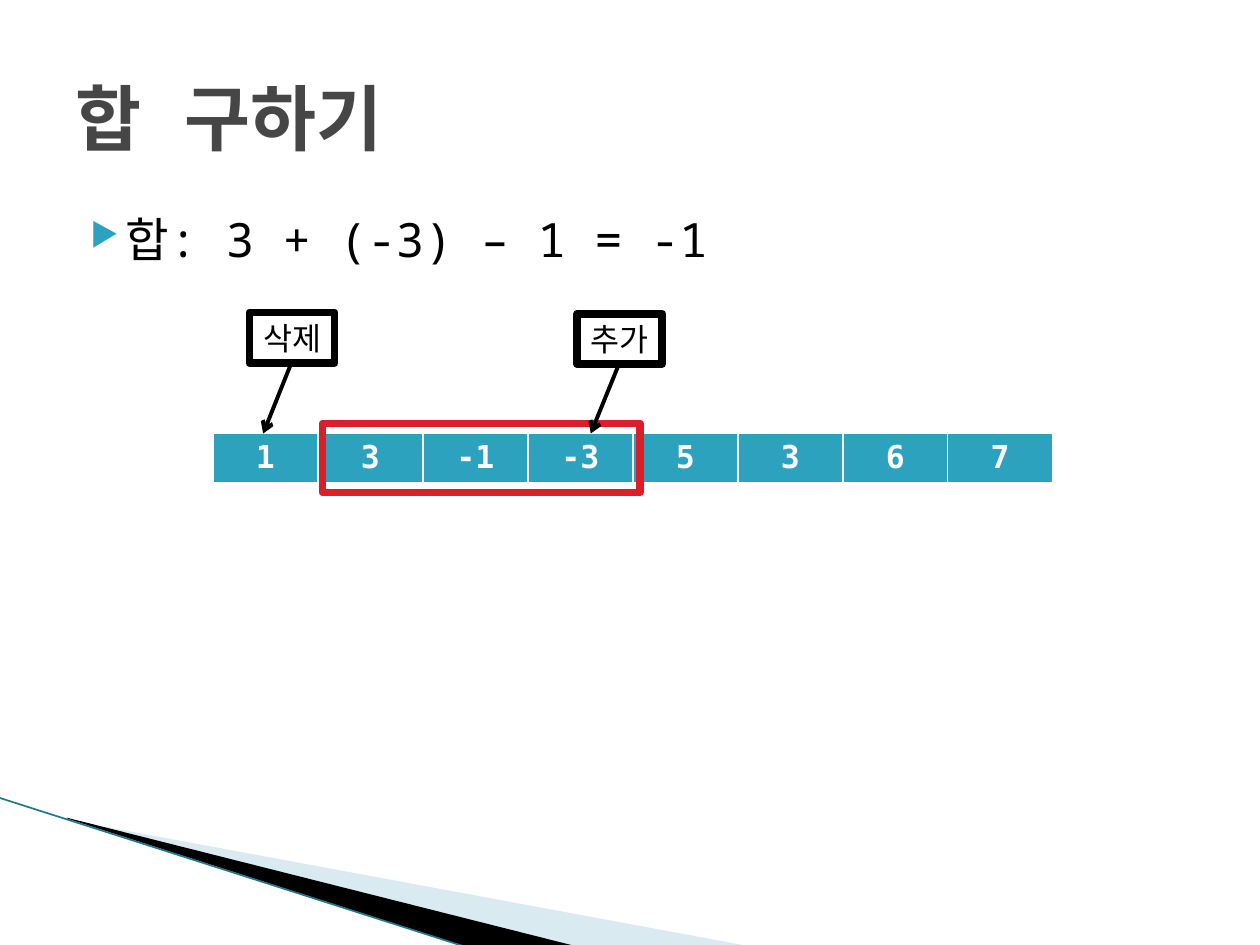
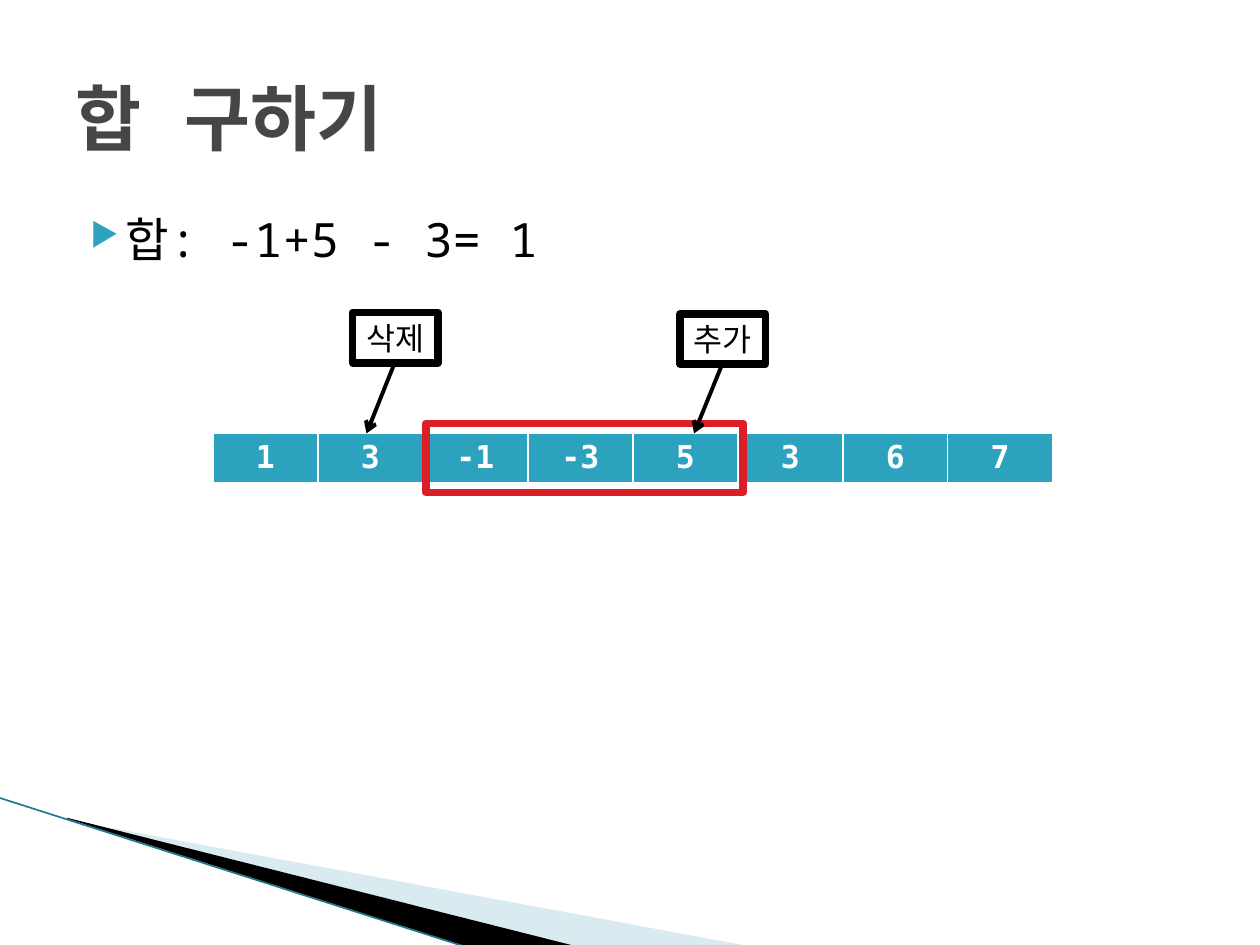
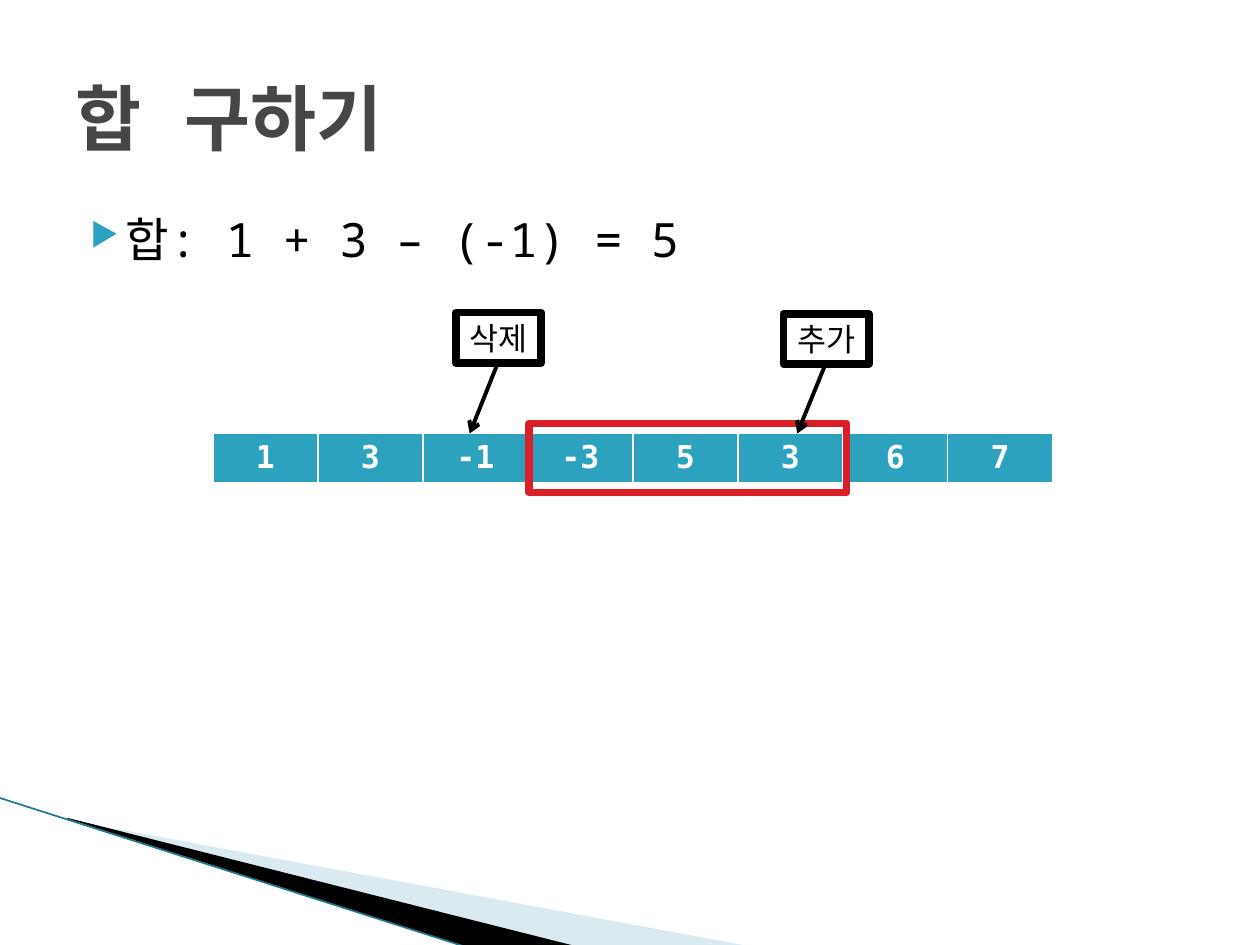
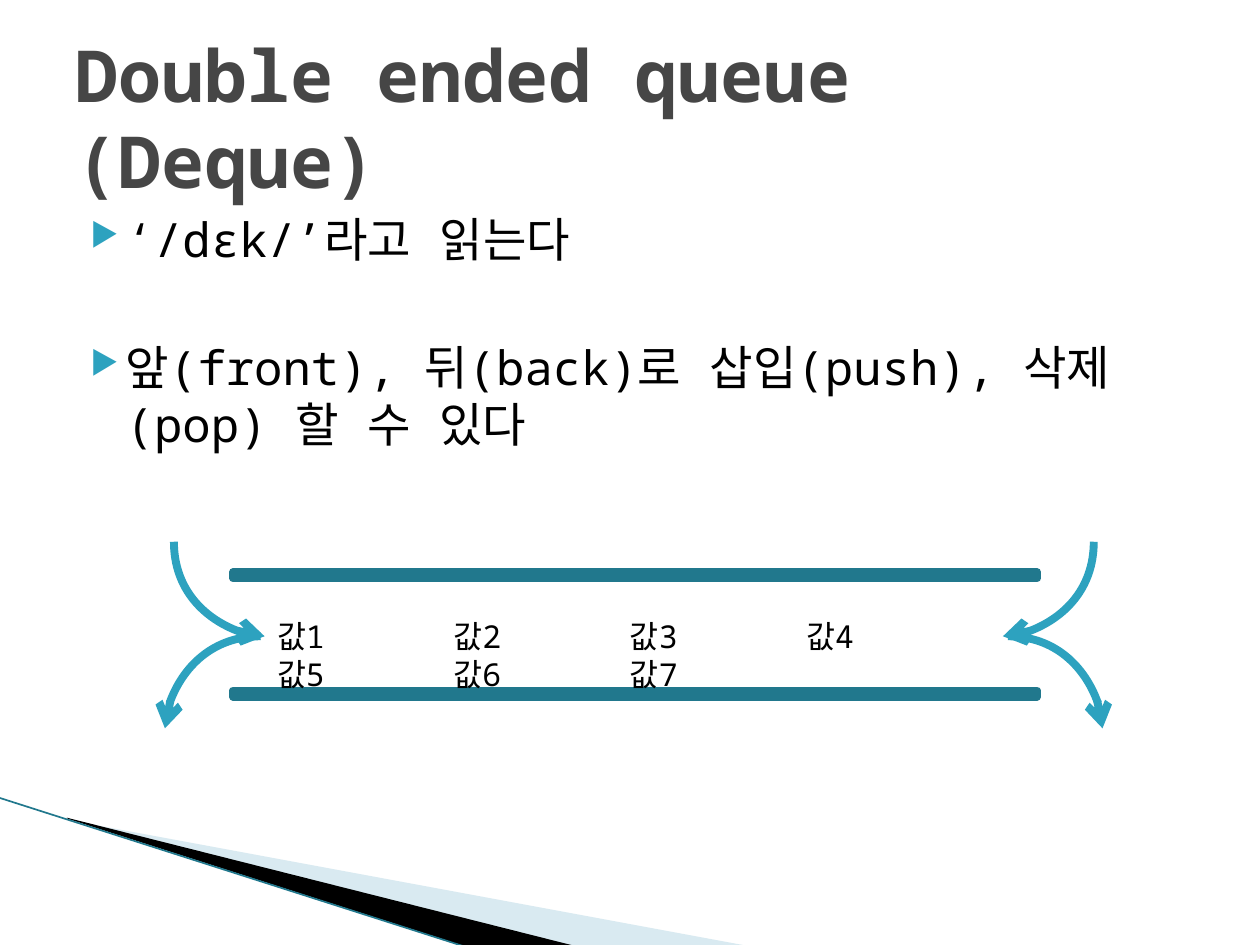
from lxml.etree import SubElement
from pptx import Presentation
from pptx.dml.color import RGBColor
from pptx.enum.shapes import MSO_CONNECTOR, MSO_SHAPE
from pptx.enum.text import MSO_ANCHOR, PP_ALIGN
from pptx.oxml.ns import qn
from pptx.util import Pt

BLACK, WHITE, GREY = "000000", "FFFFFF", "464646"
TEAL, DARK_TEAL, PALE_BLUE, RED = "2DA2BF", "21788D", "A0CBDC", "DA1F28"
FONT, CELL_FONT = "Noto Sans Mono", "DejaVu Sans Mono"
TITLE_STYLE = {"size": Pt(41), "name": FONT, "bold": True}
BODY_STYLE = {"size": Pt(27), "name": FONT}
LABEL_STYLE = {"size": Pt(18), "name": FONT}
CELL_STYLE = {"size": Pt(18), "name": CELL_FONT, "bold": True}

NUMBERS = ["1", "3", "-1", "-3", "5", "3", "6", "7"]
SUMS = ["합: 3 + (-3) – 1 = -1", "합: -1+5 - 3= 1", "합: 1 + 3 – (-1) = 5"]
WINDOW_LEFT, WINDOW_STEP = 184.3, 59
TAB_STEP = 100.8


def color(value):
    """Turn a hex string into a colour."""
    return RGBColor.from_string(value)


def add_span(paragraph, text, style, ink):
    """Add one run of styled text to a paragraph."""
    span = paragraph.add_run()
    span.text = text
    for name, value in style.items():
        setattr(span.font, name, value)
    span.font.color.rgb = color(ink)
    properties = span.font._element
    SubElement(properties, qn("a:ea")).set("typeface", style["name"])


def add_box(page, left, top, width, height, wrap=True):
    """Add an empty text box and return its text frame."""
    frame = page.shapes.add_textbox(Pt(left), Pt(top), Pt(width), Pt(height)).text_frame
    frame.word_wrap = wrap
    return frame


def paint(shape, fill=None, line=None, width=4.33):
    """Set the fill and outline of a shape and drop its shadow."""
    shape.shadow.inherit = False
    if fill:
        shape.fill.solid()
        shape.fill.fore_color.rgb = color(fill)
    else:
        shape.fill.background()
    if line:
        shape.line.color.rgb = color(line)
        shape.line.width = Pt(width)
    else:
        shape.line.fill.background()


def add_rectangle(page, left, top, width, height, fill, line):
    """Add a rectangle with a thick outline."""
    shape = page.shapes.add_shape(
        MSO_SHAPE.RECTANGLE, Pt(left), Pt(top), Pt(width), Pt(height))
    paint(shape, fill, line)
    return shape


def add_line(page, start, end, ink, width, arrow=None, curved=False):
    """Add a line; arrow names the end that carries the head."""
    kind = MSO_CONNECTOR.CURVE if curved else MSO_CONNECTOR.STRAIGHT
    connector = page.shapes.add_connector(kind, *(Pt(value) for value in start + end))
    connector.line.color.rgb = color(ink)
    connector.line.width = Pt(width)
    properties = connector._element.spPr
    if curved:
        properties.find(qn("a:prstGeom")).set("prst", "curvedConnector2")
    if arrow:
        SubElement(properties.find(qn("a:ln")), qn(f"a:{arrow}")).set("type", "arrow")
    SubElement(properties, qn("a:effectLst"))


def add_polygon(page, points, fill, opacity=100):
    """Add a filled outline through the points."""
    corners = [(Pt(x), Pt(y)) for x, y in points]
    builder = page.shapes.build_freeform(*corners[0])
    builder.add_line_segments(corners[1:])
    shape = builder.convert_to_shape()
    paint(shape, fill)
    if opacity < 100:
        tint = shape._element.spPr.find(qn("a:solidFill"))[0]
        SubElement(tint, qn("a:alpha")).set("val", str(opacity * 1000))


def add_corner_band(page):
    """Draw the swoosh in the lower left corner."""
    add_polygon(page, [(39.6, 468.7), (428.4, 540.7), (328.3, 540.7), (39.6, 468)],
                PALE_BLUE, 40)
    add_polygon(page, [(38.2, 467.3), (329, 540.7), (267.8, 541.4), (38.9, 468)], BLACK)
    add_line(page, (-0.7, 455.8), (267.1, 541.4), DARK_TEAL, 0.95)


def add_bullet(paragraph):
    """Give a paragraph the teal triangle bullet and hanging indent."""
    properties = paragraph._p.get_or_add_pPr()
    properties.set("marL", str(Pt(28.8)))
    properties.set("indent", str(Pt(-20.16)))
    tint = SubElement(properties, qn("a:buClr"))
    SubElement(tint, qn("a:srgbClr")).set("val", TEAL)
    SubElement(properties, qn("a:buSzPct")).set("val", "68000")
    SubElement(properties, qn("a:buChar")).set("char", "▶")


def add_page(deck, title, bullets, gap=4):
    """Add a slide with the band, a title and bullets set apart by the gap."""
    page = deck.slides.add_slide(deck.slide_layouts[6])
    add_corner_band(page)
    body = add_box(page, 36, 116.64, 648, 356.4)
    for index, text in enumerate(bullets):
        paragraph = body.add_paragraph() if index else body.paragraphs[0]
        paragraph.space_before = Pt(gap if index else 4)
        add_bullet(paragraph)
        add_span(paragraph, text, BODY_STYLE, BLACK)
    heading = add_box(page, 36, 21.6, 648, 90)
    heading.vertical_anchor = MSO_ANCHOR.MIDDLE
    add_span(heading.paragraphs[0], title, TITLE_STYLE, GREY)
    return page


def add_borders(cell):
    """Give a cell white borders with a heavier bottom edge."""
    properties = cell._tc.get_or_add_tcPr()
    for index, (side, width) in enumerate({"L": 1, "R": 1, "T": 1, "B": 3}.items()):
        edge = properties.makeelement(qn(f"a:ln{side}"), {"w": str(Pt(width))})
        fill = SubElement(edge, qn("a:solidFill"))
        SubElement(fill, qn("a:srgbClr")).set("val", WHITE)
        properties.insert(index, edge)


def add_number_row(page):
    """Add the table of numbers."""
    table = page.shapes.add_table(
        1, len(NUMBERS), Pt(121.7), Pt(247.7), Pt(480), Pt(29.2)).table
    table.first_row = table.horz_banding = False
    for cell, number in zip(table.iter_cells(), NUMBERS):
        cell.fill.solid()
        cell.fill.fore_color.rgb = color(TEAL)
        add_borders(cell)
        paragraph = cell.text_frame.paragraphs[0]
        paragraph.alignment = PP_ALIGN.CENTER
        add_span(paragraph, number, CELL_STYLE, WHITE)


def add_callout(page, text, left, top):
    """Add a framed label with an arrow down to the number row."""
    label = add_rectangle(page, left, top, 48.8, 28.8, WHITE, BLACK)
    frame = label.text_frame
    frame.word_wrap = False
    frame.vertical_anchor = MSO_ANCHOR.TOP
    frame.paragraphs[0].alignment = PP_ALIGN.CENTER
    add_span(frame.paragraphs[0], text, LABEL_STYLE, BLACK)
    add_line(page, (left + 24, top + 28.8), (left + 7.9, 247.7), BLACK, 2.25, "tailEnd")


def add_sum_page(deck, index, text):
    """Add a sliding window slide, the window moved by index cells."""
    page = add_page(deck, "합 구하기", [text])
    add_number_row(page)
    left = WINDOW_LEFT + index * WINDOW_STEP
    add_rectangle(page, left, 241.9, 181.4, 39.6, None, RED)
    add_callout(page, "삭제", left - 41.8, 178.6)
    add_callout(page, "추가", left + 145.4, 179.3)


def add_queue_values(page):
    """Write the queued values on tab stops, four to a line."""
    paragraph = add_box(page, 151.2, 349.2, 423.4, 28.8, False).paragraphs[0]
    stops = SubElement(paragraph._p.get_or_add_pPr(), qn("a:tabLst"))
    for column in range(1, 4):
        stop = SubElement(stops, qn("a:tab"))
        stop.set("pos", str(Pt(column * TAB_STEP)))
        stop.set("algn", "l")
    values = [f"값{number}" for number in range(1, 8)]
    add_span(paragraph, "\t".join(values[:4]), LABEL_STYLE, BLACK)
    paragraph.add_line_break()
    add_span(paragraph, "\t".join(values[4:]), LABEL_STYLE, BLACK)


def add_deque_page(deck):
    """Add the slide on the double ended queue."""
    page = add_page(deck, "Double ended queue (Deque)", [
        "‘/dɛk/’라고 읽는다",
        "앞(front), 뒤(back)로 삽입(push), 삭제(pop) 할 수 있다"], gap=40.6)
    for top in (326.9, 394.6):
        add_rectangle(page, 133.2, top, 459.4, 3.6, TEAL, DARK_TEAL)
    add_queue_values(page)
    middle = 363.6
    for push_tip, push_top, pop_start, pop_tip in (
            (151.2, 99.4, 149, 94.3), (573.1, 625, 576, 630)):
        add_line(page, (push_tip, middle), (push_top, 309.6), TEAL, 4.5, "headEnd", True)
        add_line(page, (pop_start, middle), (pop_tip, 416.2), TEAL, 4.5, "tailEnd", True)


def main():
    """Build the deck."""
    deck = Presentation()
    deck.slide_width, deck.slide_height = Pt(720), Pt(540)
    for index, text in enumerate(SUMS):
        add_sum_page(deck, index, text)
    add_deque_page(deck)
    deck.save("out.pptx")


main()
